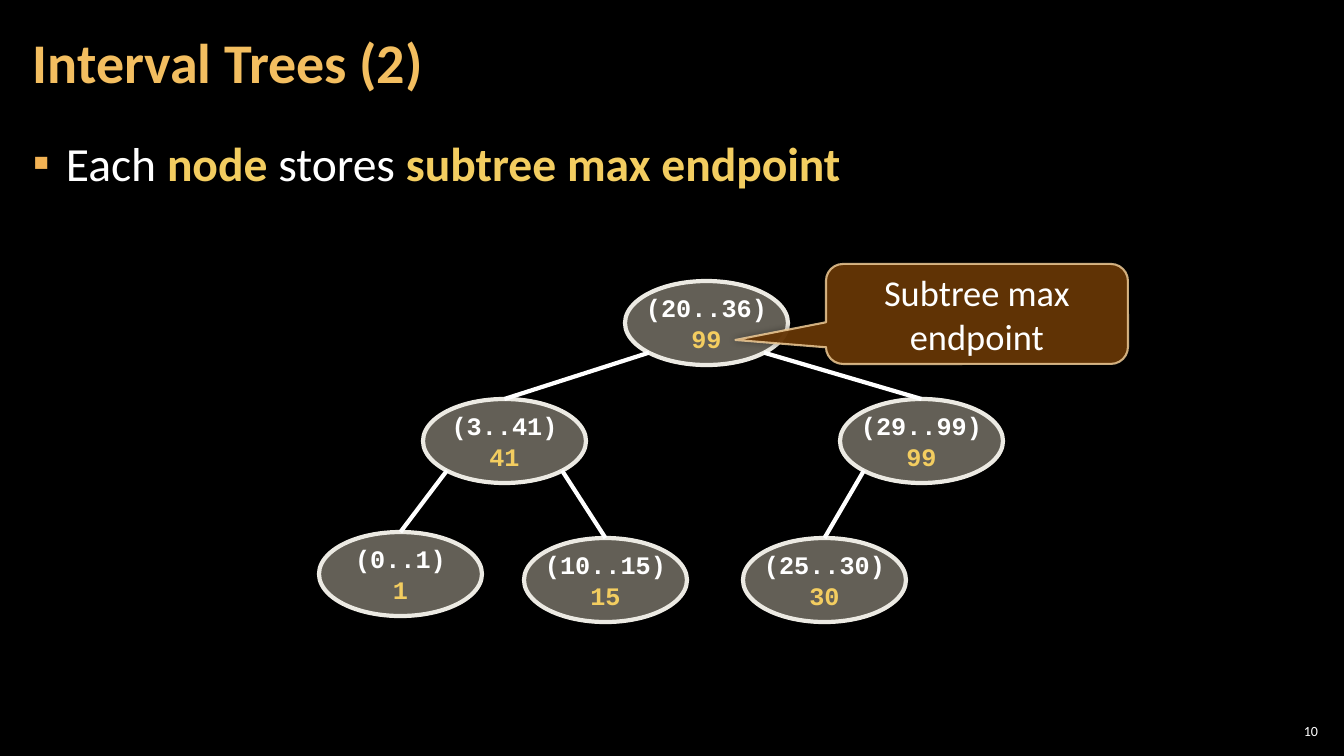
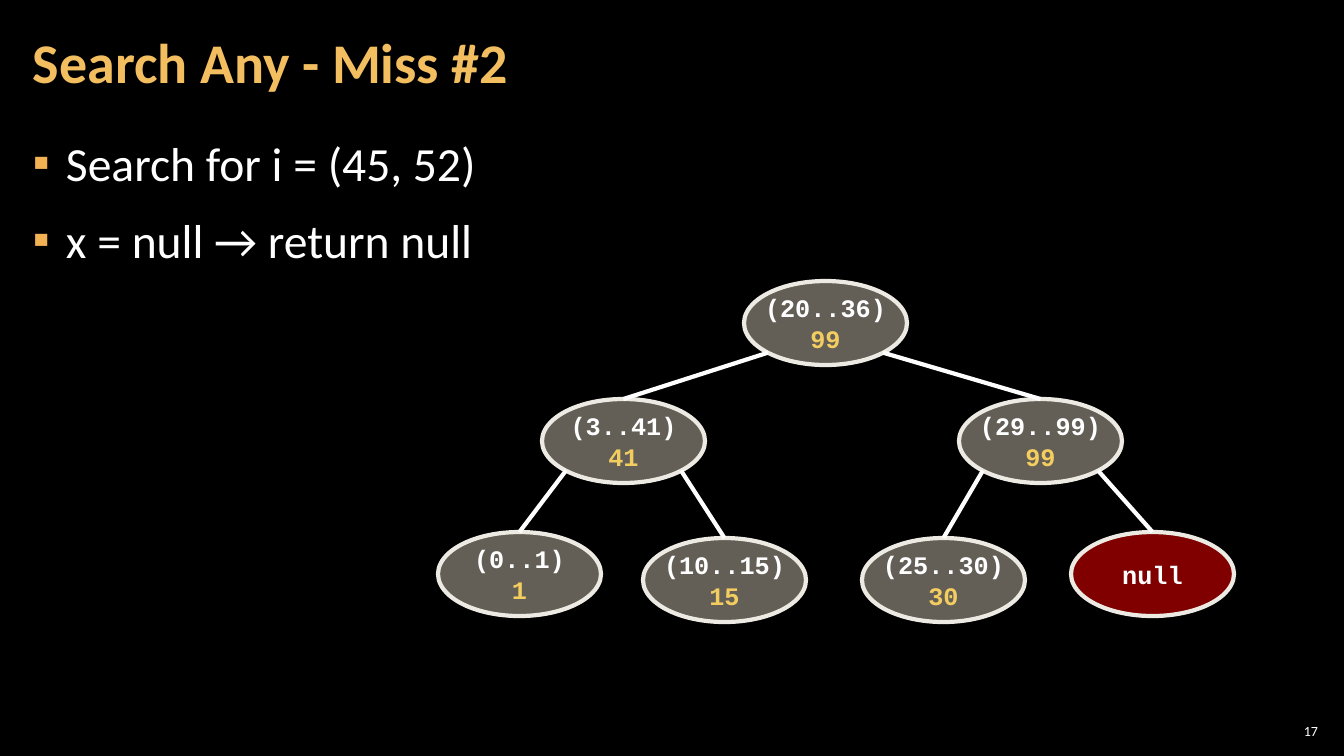
from lxml.etree import SubElement
from pptx import Presentation
from pptx.dml.color import RGBColor
from pptx.enum.shapes import MSO_CONNECTOR, MSO_SHAPE
from pptx.enum.text import MSO_ANCHOR, PP_ALIGN
from pptx.oxml.ns import qn
from pptx.util import Pt

WIDTH, HEIGHT = 1344, 756
SCALE = 12192000 / WIDTH
NODE_W, NODE_H = 163, 84
DIAGONAL = 0.5 ** 0.5
COLORS = {
    "background": "000000",
    "text": "FFFFFF",
    "title": "F3BE60",
    "accent": "F3CD60",
    "bullet": "F2B254",
    "node": "C7BFAC",
    "null": "FF0000",
    "outline": "ECEAE3",
    "callout": "663606",
    "callout_line": "F8D49E",
}

NODES = {
    "root": (625, 281, "(20..36)", "99"),
    "right": (840, 399, "(29..99)", "99"),
    "left": (423, 399, "(3..41)", "41"),
    "left_left": (319, 532, "(0..1)", "1"),
    "left_right": (524, 538, "(10..15)", "15"),
    "right_left": (743, 538, "(25..30)", "30"),
}
NULL_NODE = {"right_right": (952, 532, "null", None)}
EDGES = [
    ("left", "left_left"),
    ("left", "left_right"),
    ("right", "right_left"),
    ("root", "left"),
    ("root", "right"),
]


def emu(px):
    return round(px * SCALE)


def rgb(name):
    return RGBColor.from_string(COLORS[name])


def set_alpha(fill, percent):
    color = fill._xPr.find(qn("a:solidFill"))[0]
    SubElement(color, qn("a:alpha"), val=str(percent * 1000))


class Deck:
    sans, mono = "Calibri", "Courier New"

    def __init__(self):
        self.prs = Presentation()
        self.prs.slide_width, self.prs.slide_height = emu(WIDTH), emu(HEIGHT)
        self.slide = None

    def new_slide(self, title, number, bullets):
        self.slide = self.prs.slides.add_slide(self.prs.slide_layouts[6])
        fill = self.slide.background.fill
        fill.solid()
        fill.fore_color.rgb = rgb("background")
        self.number(number)
        self.bullets(bullets)
        self.title(title)

    def run(self, p, text, size, color="text", bold=False, font=sans):
        r = p.add_run()
        r.text = text
        r.font.name, r.font.size, r.font.bold = font, Pt(size), bold
        r.font.color.rgb = rgb(color)

    def text_box(self, box, inset=(12, 4), anchor=MSO_ANCHOR.MIDDLE):
        tf = self.slide.shapes.add_textbox(*map(emu, box)).text_frame
        tf.word_wrap = True
        tf.vertical_anchor = anchor
        tf.margin_left = tf.margin_right = emu(inset[0])
        tf.margin_top = tf.margin_bottom = emu(inset[1])
        return tf

    def title(self, text):
        p = self.text_box((21, 4, 1055, 122)).paragraphs[0]
        p.line_spacing = 0.9
        self.run(p, text, 40, "title", True)

    def number(self, text):
        p = self.text_box((1275, 720, 47, 21), (4, 4)).paragraphs[0]
        p.alignment = PP_ALIGN.RIGHT
        self.run(p, text, 10)

    def bullets(self, items):
        tf = self.text_box((21, 127, 1301, 614), anchor=MSO_ANCHOR.TOP)
        for i, item in enumerate(items):
            p = tf.add_paragraph() if i else tf.paragraphs[0]
            p.line_spacing = 1.05
            p.space_before = p.space_after = Pt(6)
            pPr = p._p.get_or_add_pPr()
            pPr.set("marL", str(emu(33)))
            pPr.set("indent", str(-emu(33)))
            color = SubElement(pPr, qn("a:buClr"))
            SubElement(color, qn("a:srgbClr"), val=COLORS["bullet"])
            SubElement(pPr, qn("a:buFont"), typeface=self.sans)
            SubElement(pPr, qn("a:buChar"), char="▪")
            for text, strong in item:
                self.run(p, text, 34, "accent" if strong else "text", strong)

    def shape(self, shapes, kind, box, fill, alpha, line, width):
        sp = shapes.add_shape(kind, *map(emu, box))
        sp.shadow.inherit = False
        sp.fill.solid()
        sp.fill.fore_color.rgb = rgb(fill)
        set_alpha(sp.fill, alpha)
        sp.line.color.rgb = rgb(line)
        sp.line.width = Pt(width)
        sp.text_frame.vertical_anchor = MSO_ANCHOR.MIDDLE
        return sp

    def node(self, shapes, x, y, interval, maximum):
        fill = "node" if maximum else "null"
        sp = self.shape(shapes, MSO_SHAPE.OVAL, (x, y, NODE_W, NODE_H), fill, 50, "outline", 3)
        tf = sp.text_frame
        tf.word_wrap = False
        p = tf.paragraphs[0]
        p.alignment = PP_ALIGN.CENTER
        self.run(p, interval, 18, bold=True, font=self.mono)
        if maximum:
            p = tf.add_paragraph()
            p.alignment = PP_ALIGN.CENTER
            self.run(p, maximum, 18, "accent", True, self.mono)

    def edge(self, shapes, parent, child):
        side = 1 if child[0] > parent[0] else -1
        ends = (
            child[0] + NODE_W / 2,
            child[1],
            parent[0] + NODE_W / 2 * (1 + side * DIAGONAL),
            parent[1] + NODE_H / 2 * (1 + DIAGONAL),
        )
        line = shapes.add_connector(MSO_CONNECTOR.STRAIGHT, *map(emu, ends))
        line.line.color.rgb = rgb("text")
        line.line.width = Pt(3)
        SubElement(line._element.spPr, qn("a:effectLst"))

    def tree(self, nodes, edges, shift=0):
        shapes = self.slide.shapes.add_group_shape().shapes
        placed = {name: (x + shift, *rest) for name, (x, *rest) in nodes.items()}
        for node in placed.values():
            self.node(shapes, *node)
        for parent, child in edges:
            self.edge(shapes, placed[parent], placed[child])

    def callout(self, box, tip, text):
        sp = self.shape(self.slide.shapes, MSO_SHAPE.ROUNDED_RECTANGULAR_CALLOUT,
                        box, "callout", 95, "callout_line", 1.5)
        set_alpha(sp.line.fill, 80)
        for i, value in enumerate(tip):
            sp.adjustments[i] = value
        effects = sp._element.spPr.find(qn("a:effectLst"))
        shadow = SubElement(effects, qn("a:outerShdw"), blurRad=str(Pt(5)))
        color = SubElement(shadow, qn("a:srgbClr"), val=COLORS["background"])
        SubElement(color, qn("a:alpha"), val="40000")
        sp.text_frame.word_wrap = True
        p = sp.text_frame.paragraphs[0]
        p.alignment = PP_ALIGN.CENTER
        self.run(p, text, 26)


def main():
    deck = Deck()

    deck.new_slide("Interval Trees (2)", "10", [
        [("Each ", False), ("node", True), (" stores ", False), ("subtree max endpoint", True)],
    ])
    deck.tree(NODES, EDGES)
    deck.callout((826, 264, 302, 100), (-0.8, 0.26, 0.17), "Subtree max endpoint")

    deck.new_slide("Search Any - Miss #2", "17", [
        [("Search for i = (45, 52)", False)],
        [("x = null → return null", False)],
    ])
    deck.tree(NODES | NULL_NODE, EDGES + [("right", "right_right")], shift=119)

    deck.prs.save("out.pptx")


if __name__ == "__main__":
    main()
